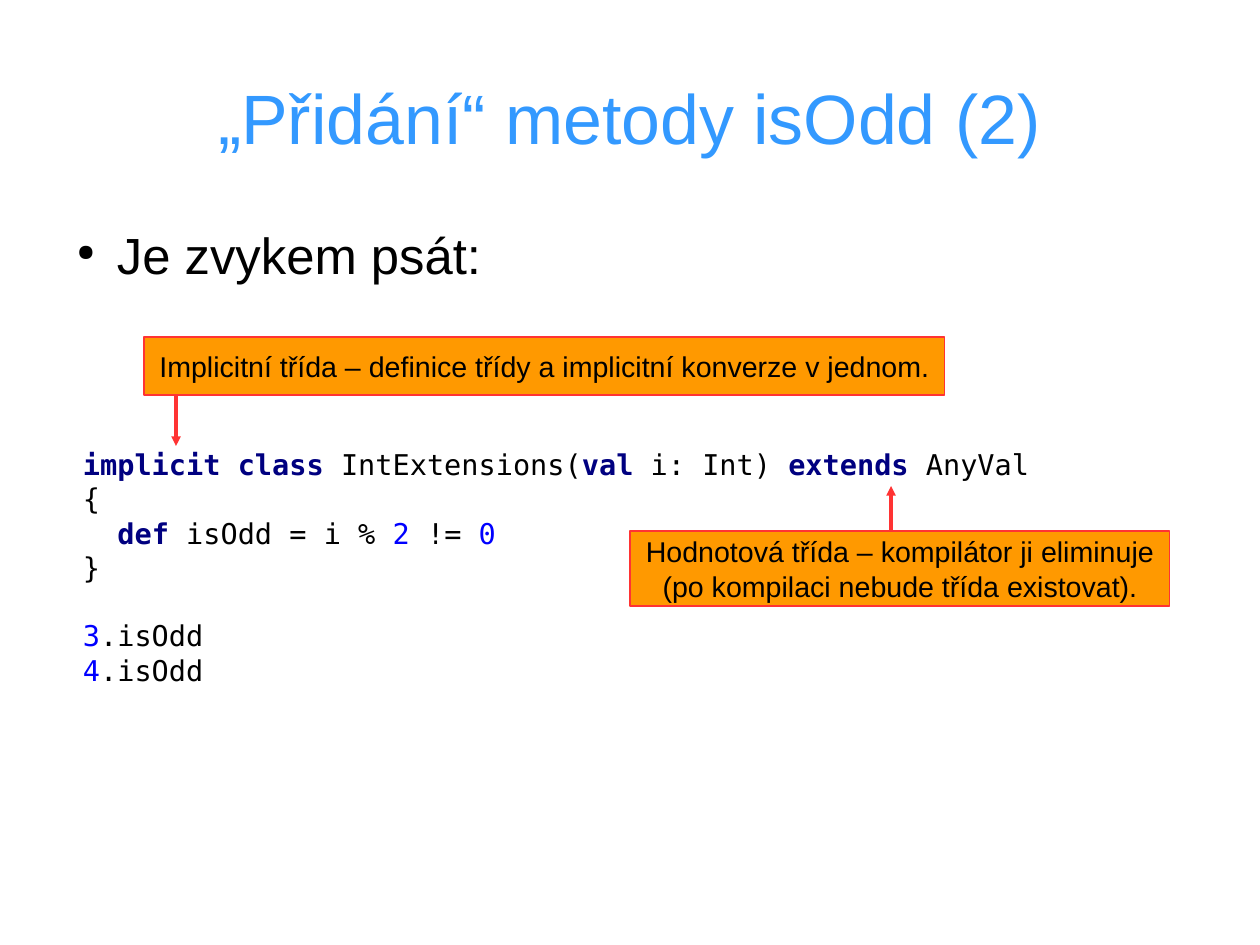
from copy import deepcopy

from lxml import etree
from pptx import Presentation
from pptx.dml.color import RGBColor
from pptx.enum.shapes import MSO_CONNECTOR as CONN, MSO_SHAPE as SHAPE
from pptx.enum.text import MSO_ANCHOR as ANCHOR, PP_ALIGN as ALIGN
from pptx.oxml.ns import qn
from pptx.util import Pt

PX = 8000  # EMU per px
BLACK = RGBColor(0x00, 0x00, 0x00)
SKY = RGBColor(0x33, 0x99, 0xFF)
NAVY = RGBColor(0x00, 0x00, 0x80)
BLUE = RGBColor(0x00, 0x00, 0xFF)
ORANGE = RGBColor(0xFF, 0x99, 0x00)
RED = RGBColor(0xFF, 0x33, 0x33)

PLAIN = {"name": "Arial", "size": Pt(18), "bold": False}
TITLE = PLAIN | {"size": Pt(44)}
BULLET = PLAIN | {"size": Pt(32)}
CODE = PLAIN | {"name": "DejaVu Sans Mono"}

KEYWORD = {"color": NAVY, "bold": True}
NUMBER = {"color": BLUE}
TEXT = {"color": BLACK}

CODE_RUNS = [
    ("implicit class ", KEYWORD), ("IntExtensions(", TEXT),
    ("val ", KEYWORD), ("i: Int) ", TEXT),
    ("extends ", KEYWORD), ("AnyVal {\n  ", TEXT),
    ("def ", KEYWORD), ("isOdd = i % ", TEXT),
    ("2 ", NUMBER), ("!= ", TEXT), ("0\n", NUMBER),
    ("}\n\n", TEXT),
    ("3", NUMBER), (".isOdd\n", TEXT),
    ("4", NUMBER), (".isOdd", TEXT),
]


class SlideBuilder:
    def __init__(self, slide):
        self.shapes = slide.shapes

    def add_runs(self, p, runs, font):
        """Add (text, format) runs; a newline becomes a line break in the same font."""
        for text, look in runs:
            for i, line in enumerate(text.split("\n")):
                if i:
                    p.add_line_break()
                    p._p[-1].append(deepcopy(r._r.rPr))
                if i and not line:
                    continue
                r = p.add_run()
                r.text = line
                style = font | look
                r.font.color.rgb = style.pop("color")
                for key, value in style.items():
                    setattr(r.font, key, value)

    def frame(self, sp, pad_x=0, pad_y=0, **options):
        """Set margins and other frame options; return the first paragraph."""
        tf = sp.text_frame
        settings = {
            "margin_left": pad_x * PX, "margin_right": pad_x * PX,
            "margin_top": pad_y * PX, "margin_bottom": pad_y * PX,
            "word_wrap": True, "vertical_anchor": ANCHOR.TOP,
        } | options
        for key, value in settings.items():
            setattr(tf, key, value)
        return tf.paragraphs[0]

    def text(self, box, runs, font, align=ALIGN.LEFT, **options):
        sp = self.shapes.add_textbox(*(v * PX for v in box))
        p = self.frame(sp, **options)
        p.alignment = align
        self.add_runs(p, runs, font)
        return p

    def bullet(self, box, text):
        p = self.text(box, [(text, TEXT)], BULLET)
        pPr = p._p.get_or_add_pPr()
        pPr.set("marL", str(54 * PX))
        pPr.set("indent", str(-40 * PX))
        etree.SubElement(pPr, qn("a:buSzPct"), val="45000")
        etree.SubElement(pPr, qn("a:buChar"), char="●")

    def callout(self, box, text):
        sp = self.shapes.add_shape(SHAPE.RECTANGLE, *(v * PX for v in box))
        sp.shadow.inherit = False
        sp.fill.solid()
        sp.fill.fore_color.rgb = ORANGE
        sp.line.color.rgb = RED
        sp.line.width = 0
        p = self.frame(sp, 11, 6, word_wrap=False, vertical_anchor=ANCHOR.MIDDLE)
        p.alignment = ALIGN.CENTER
        self.add_runs(p, [(text, TEXT)], PLAIN)

    def arrow(self, x, y_from, y_to):
        c = self.shapes.add_connector(
            CONN.STRAIGHT, *(v * PX for v in (x, y_from, x, y_to)))
        c.line.color.rgb = RED
        c.line.width = 0
        spPr = c._element.spPr
        etree.SubElement(spPr.find(qn("a:ln")), qn("a:tailEnd"), type="triangle")
        etree.SubElement(spPr, qn("a:effectLst"))


def main():
    prs = Presentation()
    prs.slide_width, prs.slide_height = 1260 * PX, 945 * PX
    s = SlideBuilder(prs.slides.add_slide(prs.slide_layouts[6]))

    s.text((63, 38, 1134, 158), [("„Přidání“ metody isOdd (2)", {"color": SKY})],
           TITLE, ALIGN.CENTER, vertical_anchor=ANCHOR.MIDDLE)
    s.bullet((63, 224, 1134, 544), "Je zvykem psát:")
    s.text((72, 441, 990, 277), CODE_RUNS, CODE, pad_x=11, pad_y=6)

    s.callout((144, 337, 801, 58),
              "Implicitní třída – definice třídy a implicitní konverze v jednom.")
    s.arrow(176, 395, 446)
    s.callout((630, 531, 540, 75),
              "Hodnotová třída – kompilátor ji eliminuje\n"
              "(po kompilaci nebude třída existovat).")
    s.arrow(891, 531, 486)

    prs.save("out.pptx")


if __name__ == "__main__":
    main()
